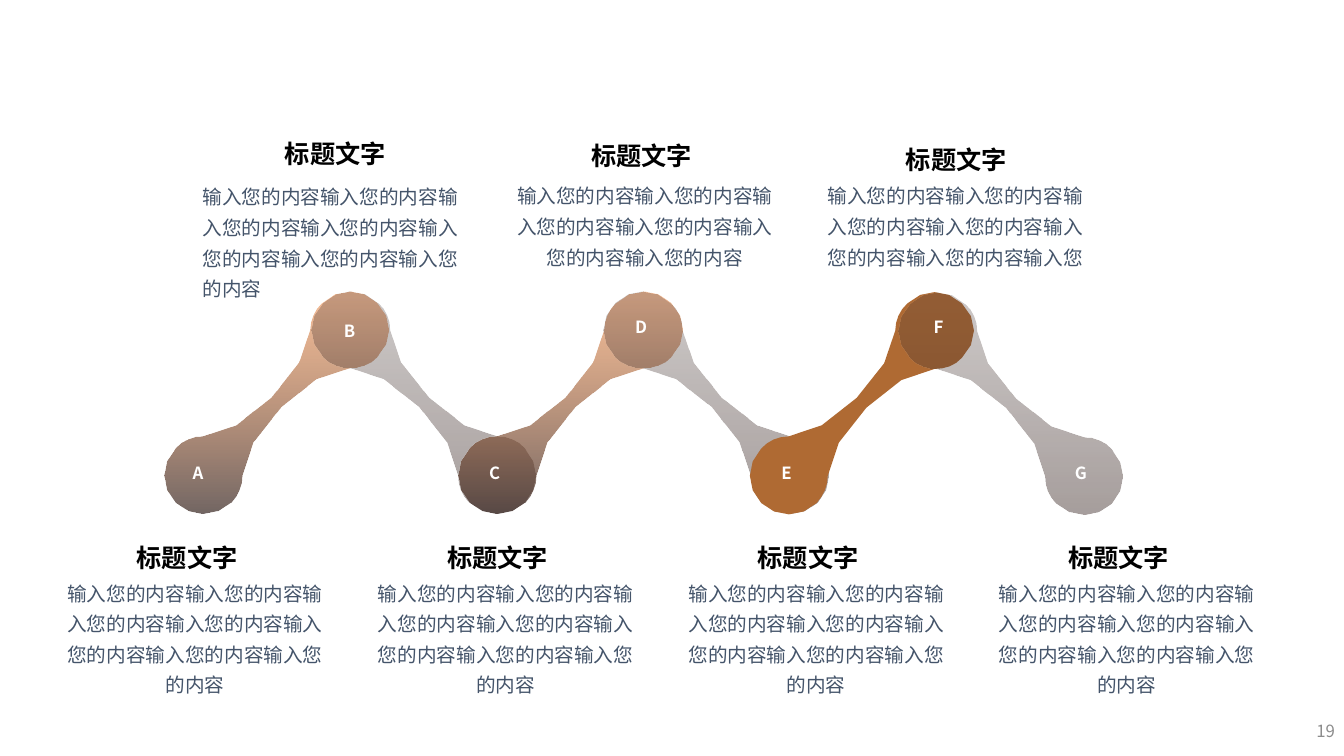
from dataclasses import dataclass

from lxml import etree
from pptx import Presentation, util as u
from pptx.dml.color import RGBColor
from pptx.enum import text as t
from pptx.oxml import ns


@dataclass(frozen=True)
class Theme:
    font: str = "Noto Sans CJK SC"
    heading: str = "000000"
    body: str = "44546A"
    letter: str = "FFFFFF"
    number: str = "8C8C8C"
    heading_size: int = 18
    body_size: int = 14
    small_size: int = 12
    # Gradients list (colour, opacity in percent) from top to bottom
    warm: tuple = (("ED7D31", 50), ("392723", 71))
    grey: tuple = (("4C3C39", 28), ("392723", 45))
    solid: tuple = (("AF6A33", 100),)


# Rising link: start point, then Bezier segments, in inches from its corner
LINK_SIZE = 2.21
LINK_START = (1.56, 0.12)
LINK_CURVES = [
    ((1.48, 0.19), (1.44, 0.29), (1.44, 0.39)),
    ((1.44, 0.77), (0.77, 1.44), (0.38, 1.44)),
    ((0.28, 1.44), (0.18, 1.48), (0.11, 1.56)),
    ((-0.04, 1.71), (-0.04, 1.95), (0.11, 2.1)),
    ((0.26, 2.25), (0.51, 2.25), (0.66, 2.1)),
    ((0.73, 2.02), (0.77, 1.93), (0.77, 1.83)),
    ((0.77, 1.44), (1.44, 0.77), (1.83, 0.77)),
    ((1.93, 0.77), (2.03, 0.74), (2.1, 0.66)),
    ((2.26, 0.51), (2.26, 0.27), (2.1, 0.12)),
    ((1.95, -0.03), (1.71, -0.03), (1.56, 0.12)),
]
CURVE_STEPS = 4


def link_outline(rising):
    """Points along the link; a falling link is the rising one mirrored."""
    points, start = [LINK_START], LINK_START
    for curve in LINK_CURVES:
        for step in range(1, CURVE_STEPS + 1):
            s = step / CURVE_STEPS
            weights = ((1 - s) ** 3, 3 * s * (1 - s) ** 2, 3 * s * s * (1 - s), s ** 3)
            points.append(tuple(
                sum(w * p[axis] for w, p in zip(weights, (start, *curve)))
                for axis in (0, 1)))
        start = curve[-1]
    return points if rising else [(LINK_SIZE - x, y) for x, y in points]


class ChainSlide:
    def __init__(self, deck, theme):
        self.theme = theme
        self.slide = deck.slides.add_slide(deck.slide_layouts[6])

    def link(self, left, top, rising, colours):
        points = [(u.Inches(left + x), u.Inches(top + y))
                  for x, y in link_outline(rising)]
        builder = self.slide.shapes.build_freeform(*points[0])
        builder.add_line_segments(points[1:], close=True)
        link = builder.convert_to_shape()
        link.shadow.inherit = False
        link.line.fill.background()
        if len(colours) == 1:
            link.fill.solid()
            link.fill.fore_color.rgb = RGBColor.from_string(colours[0][0])
            return
        link.fill.gradient()
        link.fill.gradient_angle = 270
        for stop, (colour, _) in zip(link.fill.gradient_stops, colours):
            stop.color.rgb = RGBColor.from_string(colour)
        rgb_nodes = link.element.spPr.iter(ns.qn("a:srgbClr"))
        for node, (_, opacity) in zip(list(rgb_nodes), colours):
            etree.SubElement(node, ns.qn("a:alpha")).set("val", str(opacity * 1000))

    def text(self, box, words, size, colour, bold=False, inset=None,
             frame_format=None, paragraph_format=None):
        frame = self.slide.shapes.add_textbox(*map(u.Inches, box)).text_frame
        settings = {"word_wrap": True, "auto_size": t.MSO_AUTO_SIZE.SHAPE_TO_FIT_TEXT}
        if inset is not None:
            for side in ("left", "top", "right", "bottom"):
                settings[f"margin_{side}"] = u.Inches(inset)
        settings.update(frame_format or {})
        for name, value in settings.items():
            setattr(frame, name, value)
        paragraph = frame.paragraphs[0]
        for name, value in (paragraph_format or {}).items():
            setattr(paragraph, name, value)
        run = paragraph.add_run()
        run.text = words
        for name, value in {"name": self.theme.font, "size": u.Pt(size),
                            "bold": bold}.items():
            setattr(run.font, name, value)
        run.font.color.rgb = RGBColor.from_string(colour)
        east_asian = etree.SubElement(run.font._element, ns.qn("a:ea"))
        east_asian.set("typeface", self.theme.font)

    def letter(self, left, top, letter):
        self.text((left, top, 0.28, 0.36), letter, self.theme.small_size,
                  self.theme.letter, bold=True, inset=0.08,
                  frame_format={"word_wrap": False,
                                "vertical_anchor": t.MSO_ANCHOR.MIDDLE})

    def heading(self, left, top):
        self.text((left, top, 2.49, 0.33), "标题文字", self.theme.heading_size,
                  self.theme.heading, bold=True, inset=0,
                  paragraph_format={"alignment": t.PP_ALIGN.CENTER,
                                    "line_spacing": 1.2, "space_before": u.Pt(17)})

    def body(self, left, top, height, words, align=t.PP_ALIGN.CENTER):
        self.text((left, top, 2.75, height), words, self.theme.body_size,
                  self.theme.body,
                  paragraph_format={"alignment": align, "line_spacing": 1.3})

    def page_number(self, number):
        self.text((12.8, 7.05, 0.54, 0.4), number, self.theme.small_size,
                  self.theme.number,
                  frame_format={"auto_size": t.MSO_AUTO_SIZE.NONE,
                                "vertical_anchor": t.MSO_ANCHOR.MIDDLE},
                  paragraph_format={"alignment": t.PP_ALIGN.RIGHT})


def main():
    deck = Presentation()
    deck.slide_width, deck.slide_height = u.Inches(13.33), u.Inches(7.5)
    theme = Theme()
    chain = ChainSlide(deck, theme)

    # Chain of links, alternately rising and falling, each with its letter
    links = [
        (1.63, 2.88, theme.warm, "A", 1.83, 4.51),
        (3.1, 2.88, theme.grey, "B", 3.33, 3.1),
        (4.55, 2.88, theme.warm, "C", 4.77, 4.51),
        (6, 2.88, theme.grey, "D", 6.22, 3.06),
        (7.44, 2.89, theme.solid, "E", 7.67, 4.51),
        (8.92, 2.89, theme.grey, "F", 9.18, 3.06),
    ]
    for index, (left, top, colours, letter, letter_left, letter_top) in enumerate(links):
        chain.link(left, top, index % 2 == 0, colours)
        chain.letter(letter_left, letter_top, letter)
    chain.letter(10.58, 4.51, "G")

    # Captions above the chain
    phrase = "输入您的内容"
    chain.heading(2.08, 1.31)
    chain.body(1.91, 1.72, 1.33, phrase * 7, t.PP_ALIGN.LEFT)
    chain.heading(5.12, 1.33)
    chain.body(5.02, 1.71, 1.02, phrase * 6)
    chain.heading(8.24, 1.37)
    chain.body(8.1, 1.71, 1.02, phrase * 6 + "输入您")

    # Captions below the chain, evenly spaced
    for column in range(4):
        offset = 3.08 * column
        chain.heading(0.61 + offset, 5.32)
        chain.body(0.56 + offset, 5.65, 1.33, phrase * 7)

    chain.page_number("19")
    deck.save("out.pptx")


if __name__ == "__main__":
    main()
